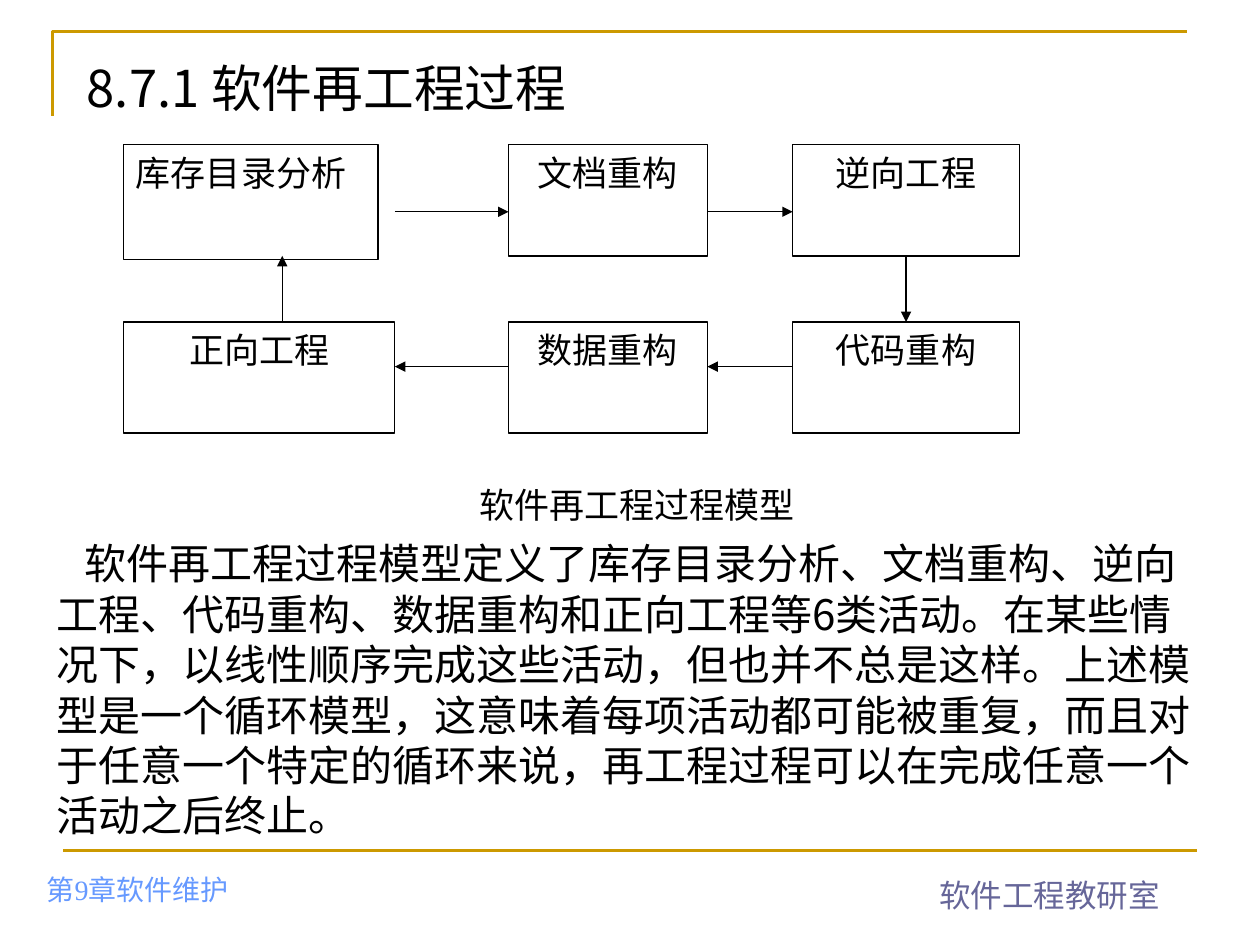
from dataclasses import dataclass

from lxml import etree
from pptx import Presentation
from pptx.dml.color import RGBColor
from pptx.enum.shapes import MSO_CONNECTOR, MSO_SHAPE
from pptx.enum.text import MSO_ANCHOR, PP_ALIGN
from pptx.oxml.ns import qn
from pptx.util import Cm, Pt

LEFT, CENTER = PP_ALIGN.LEFT, PP_ALIGN.CENTER
TOP, MIDDLE, BOTTOM = MSO_ANCHOR.TOP, MSO_ANCHOR.MIDDLE, MSO_ANCHOR.BOTTOM
STRAIGHT, RECT = MSO_CONNECTOR.STRAIGHT, MSO_SHAPE.RECTANGLE
CJK = "Noto Sans CJK SC"
BLACK, WHITE, GOLD = "000000", "FFFFFF", "CC9900"


@dataclass
class Label:
    text: str
    size: float
    font: str = CJK
    color: str = BLACK
    align: PP_ALIGN = LEFT
    anchor: MSO_ANCHOR = TOP
    wrap: bool = True
    indent: float = 0


@dataclass
class Box:
    x: float
    y: float
    w: float
    h: float


@dataclass
class Step:
    text: str
    box: Box
    align: PP_ALIGN = CENTER


@dataclass
class Arrow:
    x1: float
    y1: float
    x2: float
    y2: float


def rgb(color: str) -> RGBColor:
    return RGBColor.from_string(color)


def write(s, label: Label) -> None:
    tf = s.text_frame
    tf.word_wrap = label.wrap
    tf.vertical_anchor = label.anchor
    p = tf.paragraphs[0]
    p.text = label.text
    p.alignment = label.align
    p.font.size = Pt(label.size)
    p.font.name = label.font
    p.font.color.rgb = rgb(label.color)
    props = p._p.get_or_add_pPr()
    if label.indent:
        props.set("indent", str(Cm(label.indent)))
    # East Asian glyphs use their own typeface slot
    etree.SubElement(props.find(qn("a:defRPr")), qn("a:ea"), typeface=CJK)


def add_text(sp, box: Box, label: Label) -> None:
    s = sp.add_textbox(Cm(box.x), Cm(box.y), Cm(box.w), Cm(box.h))
    write(s, label)


def add_step(sp, step: Step) -> None:
    b = step.box
    s = sp.add_shape(RECT, Cm(b.x), Cm(b.y), Cm(b.w), Cm(b.h))
    s.shadow.inherit = False
    s.fill.solid()
    s.fill.fore_color.rgb = rgb(WHITE)
    s.line.color.rgb = rgb(BLACK)
    s.line.width = Pt(0.75)
    write(s, Label(step.text, 20, align=step.align))


def add_line(sp, a: Arrow, color: str, width: float, head: bool = False) -> None:
    s = sp.add_connector(STRAIGHT, Cm(a.x1), Cm(a.y1), Cm(a.x2), Cm(a.y2))
    s.line.color.rgb = rgb(color)
    s.line.width = Pt(width)
    if head:
        etree.SubElement(s.line._get_or_add_ln(), qn("a:tailEnd"), type="triangle")
    etree.SubElement(s._element.spPr, qn("a:effectLst"))


def add_corner(sp) -> None:
    fb = sp.build_freeform(Cm(1.06), Cm(2.33))
    fb.add_line_segments([(Cm(1.06), Cm(0.63)), (Cm(23.92), Cm(0.63))], close=False)
    s = fb.convert_to_shape()
    s.shadow.inherit = False
    s.fill.background()
    s.line.color.rgb = rgb(GOLD)
    s.line.width = Pt(1.5)


# Process diagram: two rows of three steps, run clockwise
COL1, COL2, COL3 = 2.49, 10.25, 15.98
W1, W2, W3 = 5.47, 4.01, 4.57
ROW1, ROW2, H = 2.92, 6.49, 2.24
MID1, MID2 = 4.27, 7.39
UP_X, DOWN_X = 5.69, COL3 + W3 / 2

STEPS = [
    Step("库存目录分析", Box(COL1, ROW1, 5.13, 2.32), LEFT),
    Step("文档重构", Box(COL2, ROW1, W2, H)),
    Step("逆向工程", Box(COL3, ROW1, W3, H)),
    Step("正向工程", Box(COL1, ROW2, W1, H)),
    Step("数据重构", Box(COL2, ROW2, W2, H)),
    Step("代码重构", Box(COL3, ROW2, W3, H)),
]
ARROWS = [
    Arrow(COL1 + W1, MID1, COL2, MID1),
    Arrow(COL2 + W2, MID1, COL3, MID1),
    Arrow(DOWN_X, ROW1 + H, DOWN_X, ROW2),
    Arrow(COL3, MID2, COL2 + W2, MID2),
    Arrow(COL2, MID2, COL1 + W1, MID2),
    Arrow(UP_X, ROW2, UP_X, ROW1 + H),
]
BODY = (
    "软件再工程过程模型定义了库存目录分析、文档重构、逆向工程、代码重构、"
    "数据重构和正向工程等6类活动。在某些情况下，以线性顺序完成这些活动，"
    "但也并不总是这样。上述模型是一个循环模型，这意味着每项活动都可能被重复，"
    "而且对于任意一个特定的循环来说，再工程过程可以在完成任意一个活动之后终止。"
)


def main() -> None:
    prs = Presentation()
    prs.slide_width, prs.slide_height = Cm(25.4), Cm(19.05)
    sp = prs.slides.add_slide(prs.slide_layouts[6]).shapes

    # Frame and footer
    add_corner(sp)
    add_text(sp, Box(0.69, 17.12, 8, 1.27),
             Label("第9章软件维护", 16, "Times New Roman", "6699FF", anchor=BOTTOM))
    add_line(sp, Arrow(1.27, 17.15, 24.13, 17.15), GOLD, 1.5)
    add_text(sp, Box(18.69, 17.53, 4.95, 1.02),
             Label("软件工程教研室", 18, "Arial", "666699", wrap=False))

    # Title
    add_text(sp, Box(1.5, 0.91, 15.6, 1.68),
             Label("8.7.1 软件再工程过程", 29, anchor=MIDDLE))

    # Diagram and caption
    for step in STEPS:
        add_step(sp, step)
    for arrow in ARROWS:
        add_line(sp, arrow, BLACK, 0.75, head=True)
    add_text(sp, Box(9.12, 9.63, 7.44, 1.35),
             Label("软件再工程过程模型", 20, align=CENTER))

    # Explanation
    add_text(sp, Box(0.89, 10.72, 23.8, 6.35), Label(BODY, 24, indent=0.56))

    prs.save("out.pptx")


if __name__ == "__main__":
    main()
